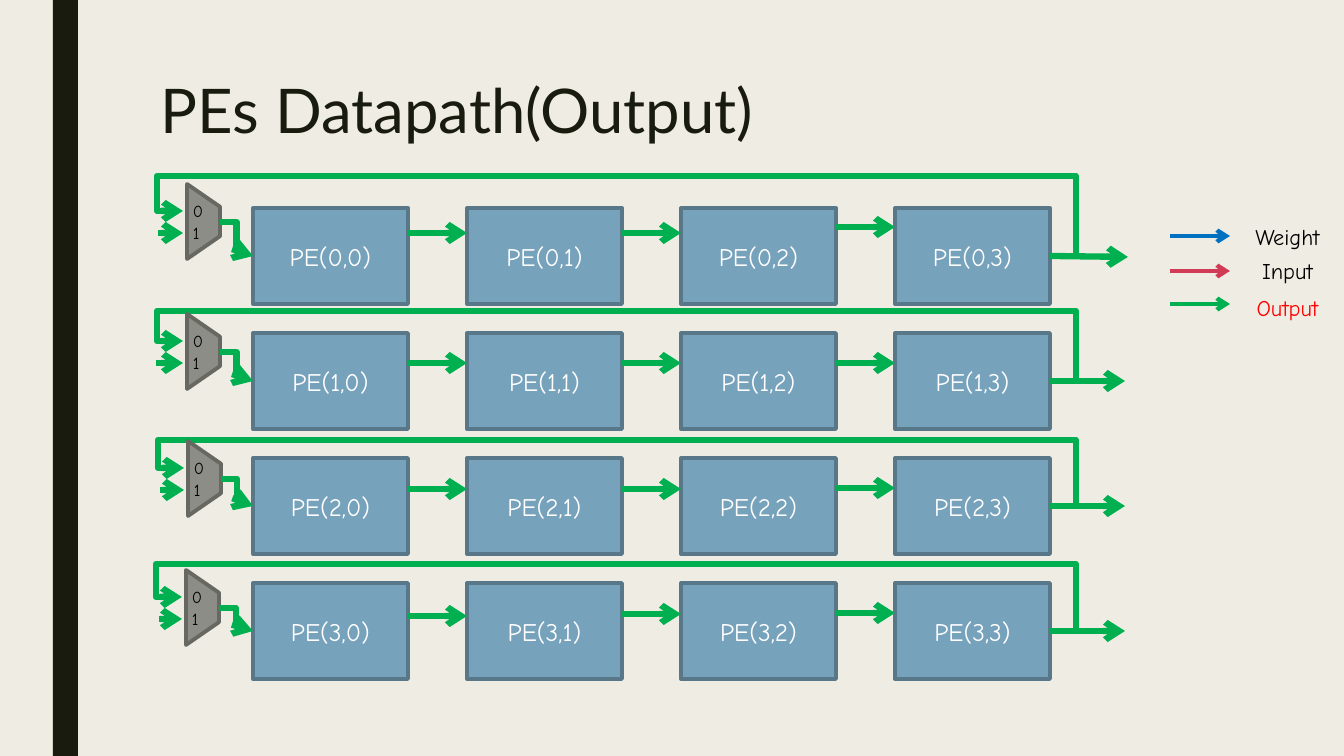
"""Builds the slide that shows the output datapath of a 4 by 4 PE array."""
from dataclasses import dataclass

from lxml import etree
from pptx import Presentation
from pptx.dml.color import RGBColor
from pptx.enum.shapes import MSO_CONNECTOR, MSO_SHAPE
from pptx.enum.text import MSO_ANCHOR, PP_ALIGN
from pptx.oxml.ns import qn
from pptx.util import Pt

STRAIGHT, ELBOW = MSO_CONNECTOR.STRAIGHT, MSO_CONNECTOR.ELBOW
RECTANGLE, TRAPEZOID = MSO_SHAPE.RECTANGLE, MSO_SHAPE.TRAPEZOID
LEFT, CENTER = PP_ALIGN.LEFT, PP_ALIGN.CENTER
TOP, MIDDLE = MSO_ANCHOR.TOP, MSO_ANCHOR.MIDDLE
EMU_PER_PX = 914400 / 100.8


@dataclass(frozen=True)
class Theme:
    """Colours, fonts and point sizes of the slide."""
    background: str = "EFEDE3"
    dark: str = "191B0E"
    black: str = "000000"
    white: str = "FFFFFF"
    highlight: str = "FF0000"
    weight: str = "0070C0"
    input: str = "D13B56"
    output: str = "00B050"
    pe_fill: str = "77A2BB"
    pe_line: str = "58788A"
    mux_fill: str = "8C8D86"
    mux_line: str = "686863"
    title_font: str = "Lato"
    body_font: str = "Comic Neue"
    title_size: int = 44
    pe_size: int = 18
    legend_size: int = 16
    mux_size: int = 12
    border: float = 2.75
    legend_width: float = 3
    path_width: float = 4.5


@dataclass(frozen=True)
class Row:
    """Wire positions, in px, that differ from one PE row to the next."""
    mux_x: int
    mux_y: int
    feedback_top: int
    input_start: int
    hop_ys: tuple
    out_end: tuple


THEME = Theme()
PE_LEFT, PE_TOP, PE_WIDTH, PE_HEIGHT = 253, 208, 155, 96
COLUMN_PITCH, ROW_PITCH, COLUMNS = 214, 125, 4
PE_RIGHT = PE_LEFT + (COLUMNS - 1) * COLUMN_PITCH + PE_WIDTH
FEEDBACK_X = 1076
ROWS = (
    Row(203, 222, 176, 158, (233, 233, 227), (1128, 257)),
    Row(203, 352, 311, 156, (363, 363, 363), (1125, 381)),
    Row(204, 479, 440, 160, (489, 489, 488), (1125, 506)),
    Row(202, 608, 564, 159, (616, 614, 613), (1125, 631)),
)
LEGEND = (
    ("Weight", THEME.weight, THEME.black, 236, 218),
    ("Input", THEME.input, THEME.black, 271, 252),
    ("Output", THEME.output, THEME.highlight, 304, 289),
)


def px(*lengths):
    """Turn px lengths into EMU."""
    return [round(length * EMU_PER_PX) for length in lengths]


def rgb(colour):
    """Read a hex colour."""
    return RGBColor.from_string(colour)


def write(holder, text, size, colour, font=THEME.body_font, align=CENTER, anchor=TOP):
    """Put one formatted paragraph into a shape and return the paragraph."""
    frame = holder.text_frame
    frame.text = text
    frame.vertical_anchor = anchor
    paragraph = frame.paragraphs[0]
    paragraph.alignment = align
    style = paragraph.runs[0].font
    style.name, style.size = font, Pt(size)
    style.color.rgb = rgb(colour)
    return paragraph


def add_label(slide, box, text, size, colour, wrap=False, **style):
    """Add a text box and return its paragraph."""
    label = slide.shapes.add_textbox(*px(*box))
    label.text_frame.word_wrap = wrap
    return write(label, text, size, colour, **style)


def add_block(slide, kind, box, fill, line=None):
    """Add a filled preset shape, outlined when a line colour is given."""
    block = slide.shapes.add_shape(kind, *px(*box))
    block.shadow.inherit = False
    block.fill.solid()
    block.fill.fore_color.rgb = rgb(fill)
    if line:
        block.line.color.rgb = rgb(line)
        block.line.width = Pt(THEME.border)
    else:
        block.line.fill.background()
    return block


def add_arrow(slide, start, end, kind=STRAIGHT, colour=THEME.output, width=THEME.path_width):
    """Add a connector with an open arrowhead at its end."""
    arrow = slide.shapes.add_connector(kind, *px(*start, *end))
    arrow.line.color.rgb = rgb(colour)
    arrow.line.width = Pt(width)
    etree.SubElement(arrow.line._get_or_add_ln(), qn("a:tailEnd"), type="arrow")
    etree.SubElement(arrow._element.spPr, qn("a:effectLst"))
    return arrow


def add_feedback(slide, start, end, top):
    """Add the five-part wire that runs back over a row to its mux."""
    wire = add_arrow(slide, start, end, ELBOW)
    overhang = (FEEDBACK_X - start[0]) / (start[0] - end[0])
    rise = (start[1] - top) / (start[1] - end[1])
    geometry = wire._element.spPr.find(qn("a:prstGeom"))
    geometry.set("prst", "bentConnector5")
    guides = geometry.find(qn("a:avLst"))
    for number, ratio in enumerate((-overhang, rise, 1 + overhang), 1):
        etree.SubElement(guides, qn("a:gd"), name=f"adj{number}",
                         fmla=f"val {round(ratio * 100000)}")


def add_mux(slide, x, y):
    """Add a two-input mux centred on a point."""
    mux = add_block(slide, TRAPEZOID, (x - 37, y - 17, 75, 33),
                    THEME.mux_fill, THEME.mux_line)
    mux.rotation = 90
    mux.adjustments[0] = 0.69
    for port, (rise, width) in enumerate(((26, 31), (4, 28))):
        add_label(slide, (x - 20, y - rise, width, 30), str(port),
                  THEME.mux_size, THEME.black, align=LEFT)


def add_pe_row(slide, number, row):
    """Add one row of PEs with its mux and all its wires."""
    port_y = PE_TOP + PE_HEIGHT // 2 + number * ROW_PITCH
    mux_input = row.mux_x - 20
    add_feedback(slide, (PE_RIGHT, port_y), (mux_input, row.mux_y - 11), row.feedback_top)
    for column in range(COLUMNS):
        left = PE_LEFT + column * COLUMN_PITCH
        pe = add_block(slide, RECTANGLE,
                       (left, PE_TOP + number * ROW_PITCH, PE_WIDTH, PE_HEIGHT),
                       THEME.pe_fill, THEME.pe_line)
        write(pe, f"PE({number},{column})", THEME.pe_size, THEME.white, anchor=MIDDLE)
    for column, hop_y in enumerate(row.hop_ys):
        left = PE_LEFT + column * COLUMN_PITCH
        add_arrow(slide, (left + PE_WIDTH, hop_y), (left + COLUMN_PITCH, hop_y))
    add_arrow(slide, (PE_RIGHT, port_y), row.out_end)
    add_mux(slide, row.mux_x, row.mux_y)
    add_arrow(slide, (row.input_start, row.mux_y + 11), (mux_input, row.mux_y + 11))
    add_arrow(slide, (row.mux_x + 17, row.mux_y), (PE_LEFT, port_y), ELBOW)


def add_legend(slide):
    """Add the key to the arrow colours."""
    for name, colour, text_colour, arrow_y, label_top in LEGEND:
        add_arrow(slide, (1170, arrow_y), (1230, arrow_y),
                  colour=colour, width=THEME.legend_width)
        add_label(slide, (1238, label_top, 99, 37), name, THEME.legend_size, text_colour)


def main():
    """Build and save the slide."""
    deck = Presentation()
    deck.slide_width, deck.slide_height = px(1344, 756)
    slide = deck.slides.add_slide(deck.slide_layouts[6])
    slide.background.fill.solid()
    slide.background.fill.fore_color.rgb = rgb(THEME.background)
    add_block(slide, RECTANGLE, (53, 0, 25, 756), THEME.dark)
    title = add_label(slide, (151, 76, 1058, 163), "PEs Datapath(Output)", THEME.title_size,
                      THEME.dark, wrap=True, font=THEME.title_font, align=LEFT)
    title.line_spacing = 0.89
    add_legend(slide)
    for number, row in enumerate(ROWS):
        add_pe_row(slide, number, row)
    deck.save("out.pptx")


if __name__ == "__main__":
    main()
